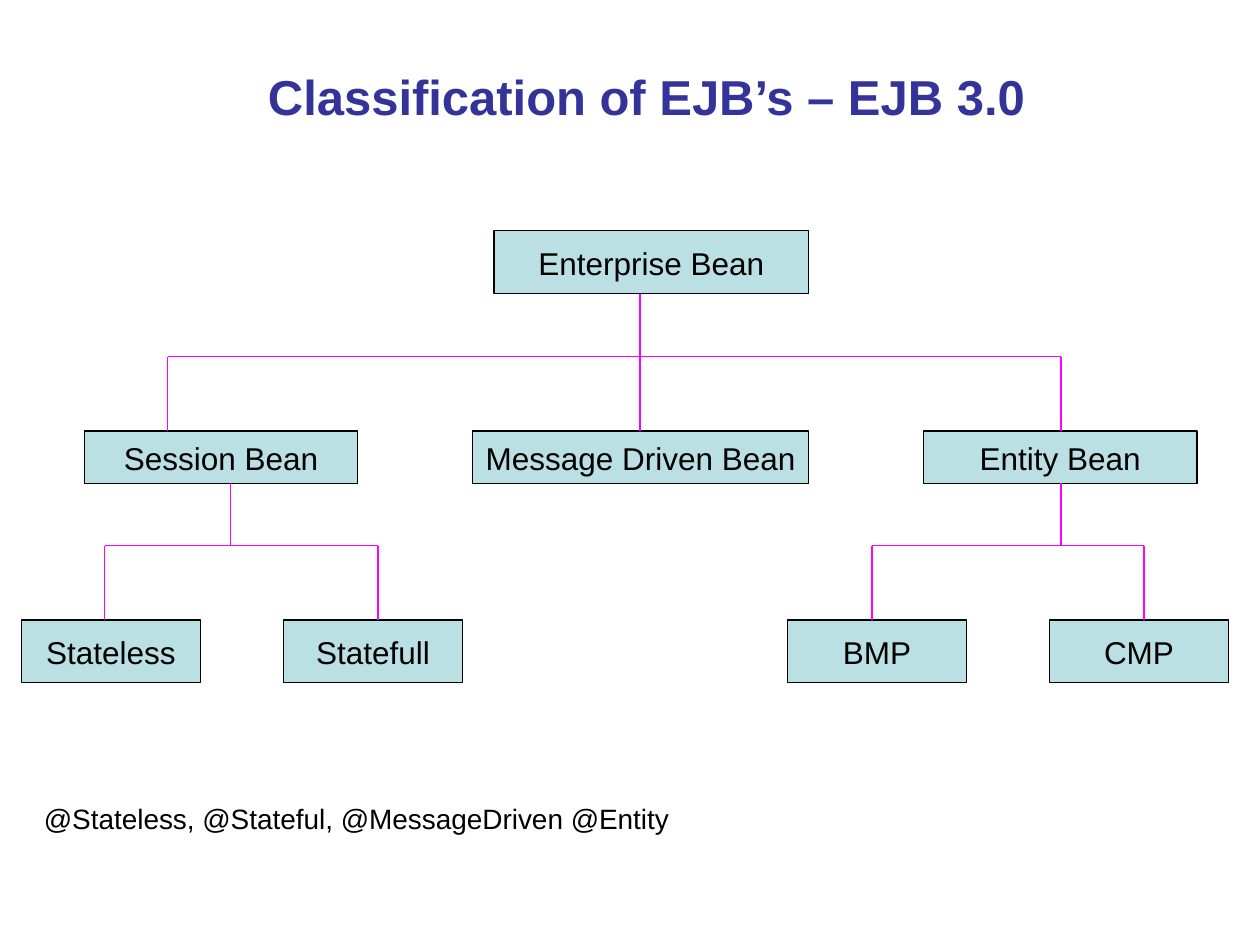
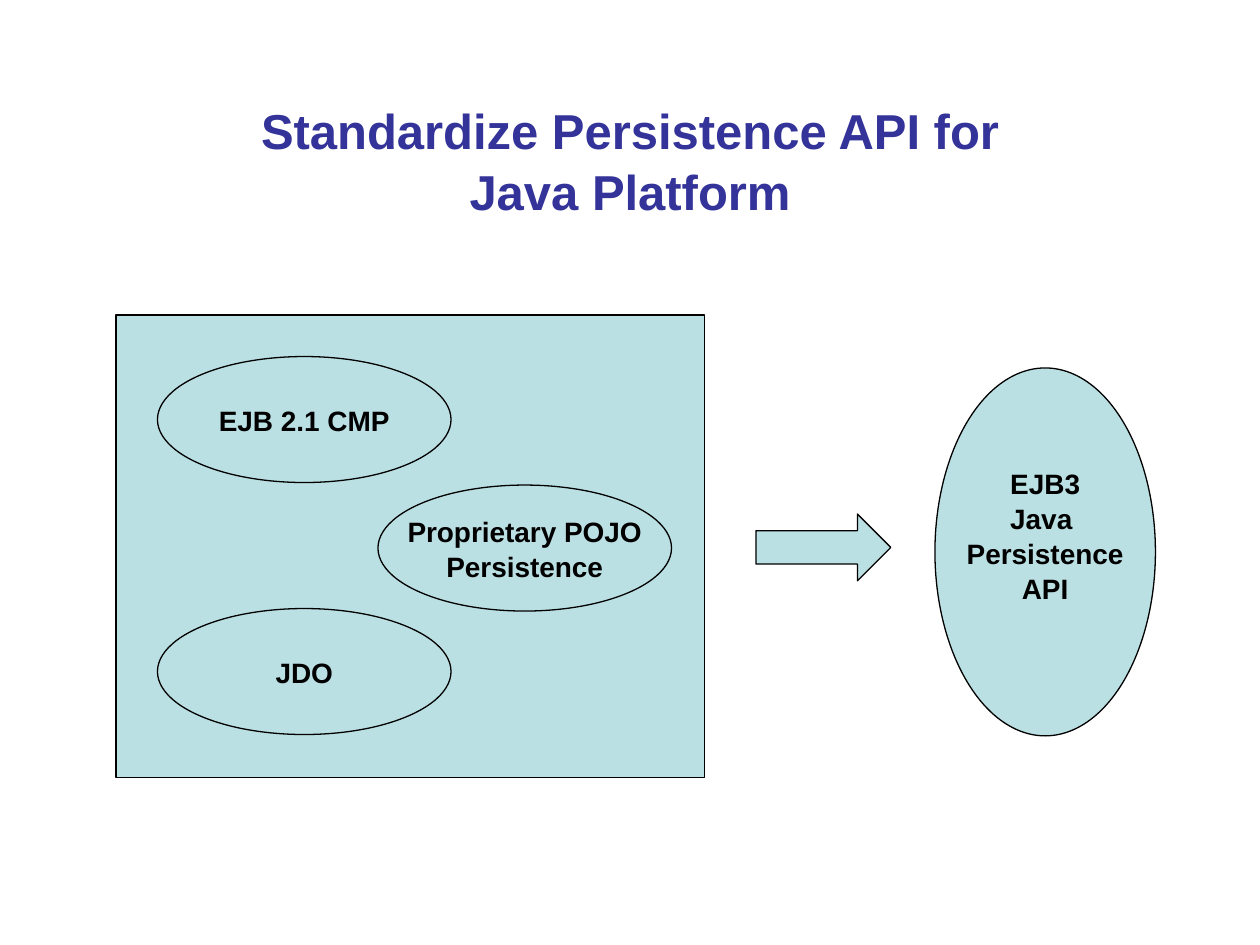
import dataclasses

import pptx
import pptx.dml.color
import pptx.enum.shapes
import pptx.enum.text
import pptx.oxml.xmlchemy
import pptx.presentation
import pptx.shapes.autoshape
import pptx.slide
import pptx.text.text
import pptx.util
from lxml import etree
from pptx.util import Inches

INDIGO = pptx.dml.color.RGBColor(0x33, 0x33, 0x99)
PALE_TEAL = pptx.dml.color.RGBColor(0xBB, 0xE0, 0xE3)
MAGENTA = pptx.dml.color.RGBColor(0xFF, 0x00, 0xFF)
BLACK = pptx.dml.color.RGBColor(0x00, 0x00, 0x00)

FONT = "Arial"
LINE_WIDTH = pptx.util.Pt(0.75)
LINE_SPACING = 1.04
TITLE_ONLY = 5
DRAWING_NAMESPACE = "http://schemas.openxmlformats.org/drawingml/2006/main"

Shape = pptx.enum.shapes.MSO_SHAPE
Align = pptx.enum.text.PP_ALIGN
Anchor = pptx.enum.text.MSO_ANCHOR


@dataclasses.dataclass(frozen=True)
class Area:
    left: float
    top: float
    width: float
    height: float

    def lengths(self) -> tuple[pptx.util.Length, ...]:
        return tuple(Inches(value) for value in dataclasses.astuple(self))


@dataclasses.dataclass(frozen=True)
class Node:
    area: Area
    text: str = ""
    geometry: Shape = Shape.RECTANGLE
    size: int = 18
    bold: bool = False
    bottom_inset: float = 0.05


@dataclasses.dataclass(frozen=True)
class Branch:
    trunk: float
    top: float
    drops: tuple[float, ...]


TOP_ROW, BEAN_ROW, KIND_ROW = 1.83, 3.42, 4.92

BEANS = [
    Node(Area(3.92, TOP_ROW, 2.5, 0.5), "Enterprise Bean"),
    Node(Area(0.67, BEAN_ROW, 2.17, 0.42), "Session Bean"),
    Node(Area(3.75, BEAN_ROW, 2.67, 0.42), "Message Driven Bean"),
    Node(Area(7.33, BEAN_ROW, 2.17, 0.42), "Entity Bean"),
] + [
    Node(Area(left, KIND_ROW, 1.42, 0.5), text)
    for left, text in [(0.17, "Stateless"), (2.25, "Statefull"), (6.25, "BMP"), (8.33, "CMP")]
]

BRANCHES = [
    Branch(5.08, 2.33, (1.33, 5.08, 8.42)),
    Branch(1.83, 3.83, (0.83, 3)),
    Branch(8.42, 3.83, (6.92, 9.08)),
]
TRUNK_LENGTH, DROP_LENGTH = 0.5, 0.59


def persistence_oval(left: float, top: float, text: str) -> Node:
    return Node(Area(left, top, 2.33, 1), text, Shape.OVAL, 16, True)


PERSISTENCE = [
    Node(Area(0.92, 2.5, 4.67, 3.67)),
    Node(Area(7.42, 2.92, 1.75, 2.92), "EJB3\nJava \nPersistence\nAPI", Shape.OVAL, 16, True, 0.32),
    persistence_oval(3, 3.85, "Proprietary POJO\nPersistence"),
    persistence_oval(1.25, 4.83, "JDO"),
    persistence_oval(1.25, 2.83, "EJB 2.1 CMP"),
    Node(Area(6, 4.08, 1.07, 0.53), geometry=Shape.RIGHT_ARROW),
]


def write_text(
    frame: pptx.text.text.TextFrame,
    text: str,
    size: int,
    color: pptx.dml.color.RGBColor = BLACK,
    bold: bool = False,
    align: Align = Align.CENTER,
) -> None:
    frame.text = text
    for paragraph in frame.paragraphs:
        paragraph.alignment = align
        paragraph.line_spacing = LINE_SPACING
        paragraph.font.name = FONT
        paragraph.font.size = pptx.util.Pt(size)
        paragraph.font.bold = bold
        paragraph.font.color.rgb = color


def add_titled_page(deck: pptx.presentation.Presentation, title: str, area: Area) -> pptx.slide.Slide:
    page = deck.slides.add_slide(deck.slide_layouts[TITLE_ONLY])
    box = page.shapes.title
    box.left, box.top, box.width, box.height = area.lengths()
    frame = box.text_frame
    frame.auto_size = pptx.enum.text.MSO_AUTO_SIZE.NONE
    frame.vertical_anchor = Anchor.MIDDLE
    frame.margin_left = frame.margin_right = frame.margin_top = frame.margin_bottom = Inches(0)
    write_text(frame, title, 28, INDIGO, bold=True)
    return page


def draw_node(page: pptx.slide.Slide, node: Node) -> None:
    box = page.shapes.add_shape(node.geometry, *node.area.lengths())
    box.shadow.inherit = False
    box.fill.solid()
    box.fill.fore_color.rgb = PALE_TEAL
    box.line.color.rgb = BLACK
    box.line.width = LINE_WIDTH
    if node.text:
        frame = box.text_frame
        frame.word_wrap = False
        frame.vertical_anchor = Anchor.MIDDLE
        frame.margin_bottom = Inches(node.bottom_inset)
        write_text(frame, node.text, node.size, bold=node.bold)


def draw_line(page: pptx.slide.Slide, x1: float, y1: float, x2: float, y2: float) -> None:
    line = page.shapes.add_connector(
        pptx.enum.shapes.MSO_CONNECTOR.STRAIGHT, Inches(x1), Inches(y1), Inches(x2), Inches(y2)
    )
    line.line.color.rgb = MAGENTA
    line.line.width = LINE_WIDTH
    etree.SubElement(line._element.spPr, f"{{{DRAWING_NAMESPACE}}}effectLst")


def draw_branch(page: pptx.slide.Slide, branch: Branch) -> None:
    bar = branch.top + TRUNK_LENGTH
    draw_line(page, branch.drops[0], bar, branch.drops[-1], bar)
    for drop in branch.drops:
        draw_line(page, drop, bar, drop, bar + DROP_LENGTH)
    draw_line(page, branch.trunk, branch.top, branch.trunk, bar)


def build_classification(deck: pptx.presentation.Presentation) -> None:
    page = add_titled_page(deck, "Classification of EJB’s – EJB 3.0", Area(1.92, 0.5, 6.42, 0.5))
    for bean in BEANS:
        draw_node(page, bean)
    for branch in BRANCHES:
        draw_branch(page, branch)
    annotations = page.shapes.add_textbox(*Area(0.25, 6.3, 6.17, 0.37).lengths())
    annotations.text_frame.word_wrap = True
    write_text(
        annotations.text_frame,
        "@Stateless, @Stateful, @MessageDriven @Entity",
        16,
        align=Align.LEFT,
    )


def build_persistence(deck: pptx.presentation.Presentation) -> None:
    page = add_titled_page(
        deck, "Standardize Persistence API for\vJava Platform", Area(0.5, 0.83, 9, 0.87)
    )
    for node in PERSISTENCE:
        draw_node(page, node)


def main() -> None:
    deck = pptx.Presentation()
    deck.slide_width = Inches(10)
    deck.slide_height = Inches(7.5)
    build_classification(deck)
    build_persistence(deck)
    deck.save("out.pptx")


if __name__ == "__main__":
    main()
